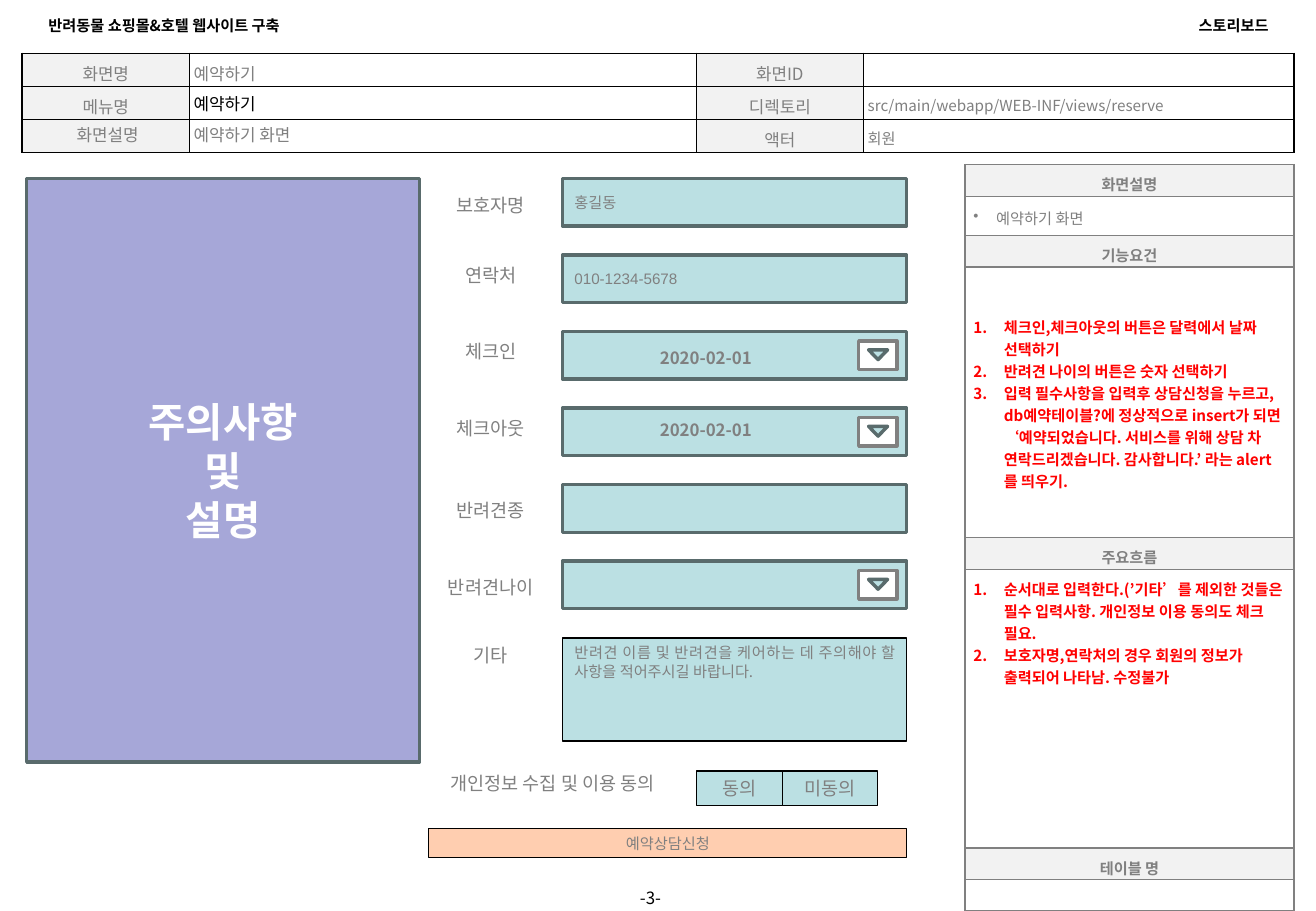
from dataclasses import dataclass, replace

from lxml import etree
from pptx import Presentation
from pptx.dml.color import RGBColor
from pptx.enum.shapes import MSO_SHAPE
from pptx.enum.text import MSO_ANCHOR, PP_ALIGN
from pptx.oxml.ns import qn
from pptx.util import Pt

LEFT, CENTER, RIGHT, JUSTIFY = PP_ALIGN.LEFT, PP_ALIGN.CENTER, PP_ALIGN.RIGHT, PP_ALIGN.JUSTIFY
TOP, MIDDLE = MSO_ANCHOR.TOP, MSO_ANCHOR.MIDDLE
RECTANGLE, TRIANGLE = MSO_SHAPE.RECTANGLE, MSO_SHAPE.FLOWCHART_MERGE

SANS, ARIAL = "Noto Sans CJK KR", "Arial"
BLACK, WHITE, RED, GRAY = "000000", "FFFFFF", "FF0000", "808080"
HEADER_FILL, FIELD_FILL, FIELD_LINE = "F2F2F2", "BBE0E3", "596B6C"
NOTICE_FILL, SUBMIT_FILL = "A6A7D8", "FFCEB0"

FORM_TOP, FORM_STEP = 105.84, 45.36
FIELD_LEFT, FIELD_WIDTH, FIELD_HEIGHT = 333.36, 204, 28.2
LABEL_LEFT, LABEL_WIDTH, LABEL_HEIGHT = 254.16, 73.44, 20.6


@dataclass(frozen=True)
class Style:
    size: float = 9
    color: str = GRAY
    bold: bool = False
    align: PP_ALIGN = LEFT
    anchor: MSO_ANCHOR = MIDDLE
    font: str = SANS
    line_spacing: float | Pt | None = None
    space: float = 0
    indent: float = 0
    bullet: str = ""


@dataclass(frozen=True)
class Field:
    label: str
    label_top: float
    value: str = ""
    date_top: float | None = None
    has_menu: bool = False
    font: str = ARIAL


@dataclass(frozen=True)
class Cell:
    text: str
    style: Style
    fill: str | None = None


LABEL = Style(11, align=CENTER, anchor=TOP)
DATE = Style(10, bold=True, align=CENTER, anchor=TOP)
PAGE_HEADER = Style(9, BLACK, True)
INFO = Style(10, line_spacing=1.15, space=3)
INFO_HEAD = replace(INFO, align=CENTER)
INFO_SMALL = replace(INFO, size=9)
SIDE_HEAD = Style(bold=True, align=CENTER, space=3)
SIDE_BULLET = Style(space=3, indent=13.5, bullet="•")
SIDE_STEPS = Style(color=RED, bold=True, indent=18, bullet="1.")

INFO_ROWS = [
    [Cell("화면명", INFO_HEAD, HEADER_FILL), Cell("예약하기", INFO),
     Cell("화면ID", INFO_HEAD, HEADER_FILL), Cell("", INFO_SMALL)],
    [Cell("메뉴명", INFO_HEAD, HEADER_FILL), Cell("예약하기", Style(10, BLACK)),
     Cell("디렉토리", INFO_HEAD, HEADER_FILL),
     Cell("src/main/webapp/WEB-INF/views/reserve", INFO_SMALL)],
    [Cell(" 화면설명", Style(10, align=CENTER, line_spacing=Pt(12)), HEADER_FILL),
     Cell("예약하기 화면", Style(10, line_spacing=Pt(12))),
     Cell("액터", INFO_HEAD, HEADER_FILL), Cell("회원", INFO_SMALL)],
]
REQUIREMENTS = """체크인,체크아웃의 버튼은 달력에서 날짜 선택하기
반려견 나이의 버튼은 숫자 선택하기
입력 필수사항을 입력후 상담신청을 누르고, db예약테이블?에 정상적으로 insert가 되면 ‘예약되었습니다. 서비스를 위해 상담 차 연락드리겠습니다. 감사합니다.’ 라는 alert를 띄우기."""
MAIN_FLOW = """순서대로 입력한다.(’기타’를 제외한 것들은 필수 입력사항. 개인정보 이용 동의도 체크 필요.
보호자명,연락처의 경우 회원의 정보가 출력되어 나타남. 수정불가"""
SIDE_ROWS = [
    [Cell("화면설명", SIDE_HEAD, HEADER_FILL)],
    [Cell("예약하기 화면", SIDE_BULLET)],
    [Cell("기능요건", SIDE_HEAD, HEADER_FILL)],
    [Cell(REQUIREMENTS, SIDE_STEPS)],
    [Cell("주요흐름", SIDE_HEAD, HEADER_FILL)],
    [Cell(MAIN_FLOW, replace(SIDE_STEPS, anchor=TOP), WHITE)],
]
TABLE_NAME_ROWS = [[Cell("테이블 명", SIDE_HEAD, HEADER_FILL)], [Cell("", Style())]]

FIELDS = [
    Field("보호자명", 111.6, "홍길동"),
    Field("연락처", 152.64, "010-1234-5678"),
    Field("체크인", 198, "2020-02-01", 202.32, True),
    Field("체크아웃", 243.36, "2020-02-01", 245.52, True),
    Field("반려견종", 292.32),
    Field("반려견나이", 337.68, has_menu=True),
]


def rgb(value: str) -> RGBColor:
    return RGBColor.from_string(value)


def write(frame, text: str, style: Style) -> None:
    frame.word_wrap = True
    for index, line in enumerate(text.split("\n")):
        para = frame.paragraphs[0] if index == 0 else frame.add_paragraph()
        para.alignment = style.align
        para.line_spacing = style.line_spacing
        para.space_before = para.space_after = Pt(style.space)
        if style.bullet:
            props = para._p.get_or_add_pPr()
            props.set("marL", str(Pt(style.indent)))
            props.set("indent", str(-Pt(style.indent)))
            if style.bullet == "1.":
                etree.SubElement(props, qn("a:buAutoNum"), type="arabicPeriod")
            else:
                etree.SubElement(props, qn("a:buChar"), char=style.bullet)
        para.font.size, para.font.bold = Pt(style.size), style.bold
        para.font.name, para.font.color.rgb = style.font, rgb(style.color)
        if line:
            para.add_run().text = line
        else:
            etree.SubElement(para._p, qn("a:endParaRPr"), sz=str(int(style.size * 100)))


def add_text(page, left: float, top: float, width: float, height: float,
             text: str, style: Style) -> None:
    box = page.shapes.add_textbox(Pt(left), Pt(top), Pt(width), Pt(height))
    write(box.text_frame, text, style)
    box.text_frame.vertical_anchor = style.anchor


def add_box(page, left: float, top: float, width: float, height: float, fill: str,
            line: str, weight: float, text: str = "", style: Style = Style(),
            kind: MSO_SHAPE = RECTANGLE) -> None:
    box = page.shapes.add_shape(kind, Pt(left), Pt(top), Pt(width), Pt(height))
    box.shadow.inherit = False
    box.fill.solid()
    box.fill.fore_color.rgb = rgb(fill)
    box.line.color.rgb, box.line.width = rgb(line), Pt(weight)
    if text:
        write(box.text_frame, text, style)
        box.text_frame.vertical_anchor = style.anchor


def add_borders(cell, color: str) -> None:
    props = cell._tc.get_or_add_tcPr()
    for index, side in enumerate(("lnL", "lnR", "lnT", "lnB")):
        line = etree.Element(qn(f"a:{side}"), w=str(Pt(1)))
        fill = etree.SubElement(line, qn("a:solidFill"))
        etree.SubElement(fill, qn("a:srgbClr"), val=color)
        props.insert(index, line)


def add_grid(page, left: float, top: float, widths: list[float], heights: list[float],
             rows: list[list[Cell]], border: str, margins: tuple[float, ...]) -> None:
    """Margins run left, top, right, bottom."""
    table = page.shapes.add_table(len(rows), len(widths), Pt(left), Pt(top),
                                  Pt(sum(widths)), Pt(sum(heights))).table
    table.first_row = table.horz_banding = False
    for column, width in zip(table.columns, widths):
        column.width = Pt(width)
    for row, height, contents in zip(table.rows, heights, rows):
        row.height = Pt(height)
        for cell, content in zip(row.cells, contents):
            (cell.margin_left, cell.margin_top,
             cell.margin_right, cell.margin_bottom) = map(Pt, margins)
            cell.vertical_anchor = content.style.anchor
            if content.fill:
                cell.fill.solid()
                cell.fill.fore_color.rgb = rgb(content.fill)
            else:
                cell.fill.background()
            add_borders(cell, border)
            write(cell.text_frame, content.text, content.style)


def add_field(page, top: float, field: Field) -> None:
    add_text(page, LABEL_LEFT, field.label_top, LABEL_WIDTH, LABEL_HEIGHT, field.label, LABEL)
    is_date = field.date_top is not None
    add_box(page, FIELD_LEFT, top, FIELD_WIDTH, FIELD_HEIGHT, FIELD_FILL, FIELD_LINE, 2,
            "" if is_date else field.value, Style(font=field.font))
    if field.has_menu:
        add_box(page, 509, top + 5.5, 22.6, 17, WHITE, GRAY, 2)
        add_box(page, 514.8, top + 10.8, 11.3, 5.8, FIELD_FILL, FIELD_LINE, 2, kind=TRIANGLE)
    if is_date:
        add_text(page, 339.12, field.date_top, 158.4, 19.4, field.value, DATE)


def main() -> None:
    deck = Presentation()
    deck.slide_width, deck.slide_height = Pt(780), Pt(540)
    page = deck.slides.add_slide(deck.slide_layouts[6])

    add_text(page, 21.6, 6.3, 215.3, 18.2, "반려동물 쇼핑몰&호텔 웹사이트 구축", PAGE_HEADER)
    add_text(page, 543.6, 6.3, 215.3, 18.2, "스토리보드", replace(PAGE_HEADER, align=RIGHT))
    add_text(page, 357.1, 526.3, 56.9, 11.5, "-3-", Style(10, BLACK, align=CENTER))

    add_grid(page, 13, 31.6, [99.3, 300.4, 99.1, 255.1], [19.56] * 3, INFO_ROWS, BLACK,
             (2.55,) * 4)
    side_margins = (5.1, 5.1, 5.1, 2.83)
    add_grid(page, 571.9, 97.6, [195.1], [18.8, 23.1, 18.8, 160.4, 18.8, 171.4],
             SIDE_ROWS, GRAY, side_margins)
    add_grid(page, 571.9, 502.6, [195.1], [18.6, 18.6], TABLE_NAME_ROWS, GRAY, side_margins)

    add_box(page, 15.84, FORM_TOP, 232.8, 345.9, NOTICE_FILL, FIELD_LINE, 2,
            "주의사항\n및\n설명", Style(24, WHITE, True, CENTER, font=ARIAL))
    for index, field in enumerate(FIELDS):
        add_field(page, FORM_TOP + index * FORM_STEP, field)

    remarks_top = FORM_TOP + len(FIELDS) * FORM_STEP
    add_text(page, LABEL_LEFT, remarks_top, LABEL_WIDTH, LABEL_HEIGHT, "기타", LABEL)
    add_box(page, FIELD_LEFT, remarks_top, FIELD_WIDTH, 61.2, FIELD_FILL, BLACK, 1,
            "반려견 이름 및 반려견을 케어하는 데 주의해야 할 사항을 적어주시길 바랍니다.",
            Style(align=JUSTIFY, anchor=TOP))

    add_text(page, 248.4, 454.3, 158.4, LABEL_HEIGHT, "개인정보 수집 및 이용 동의", LABEL)
    for left, width, choice in ((412.7, 51, "동의"), (463.7, 56.6, "미동의")):
        add_box(page, left, 457, width, LABEL_HEIGHT, FIELD_FILL, BLACK, 0.75, choice, LABEL)
    add_box(page, 254.16, 491, 283.4, 17.4, SUBMIT_FILL, BLACK, 0.75, "예약상담신청",
            Style(align=CENTER, anchor=TOP))
    deck.save("out.pptx")


if __name__ == "__main__":
    main()
